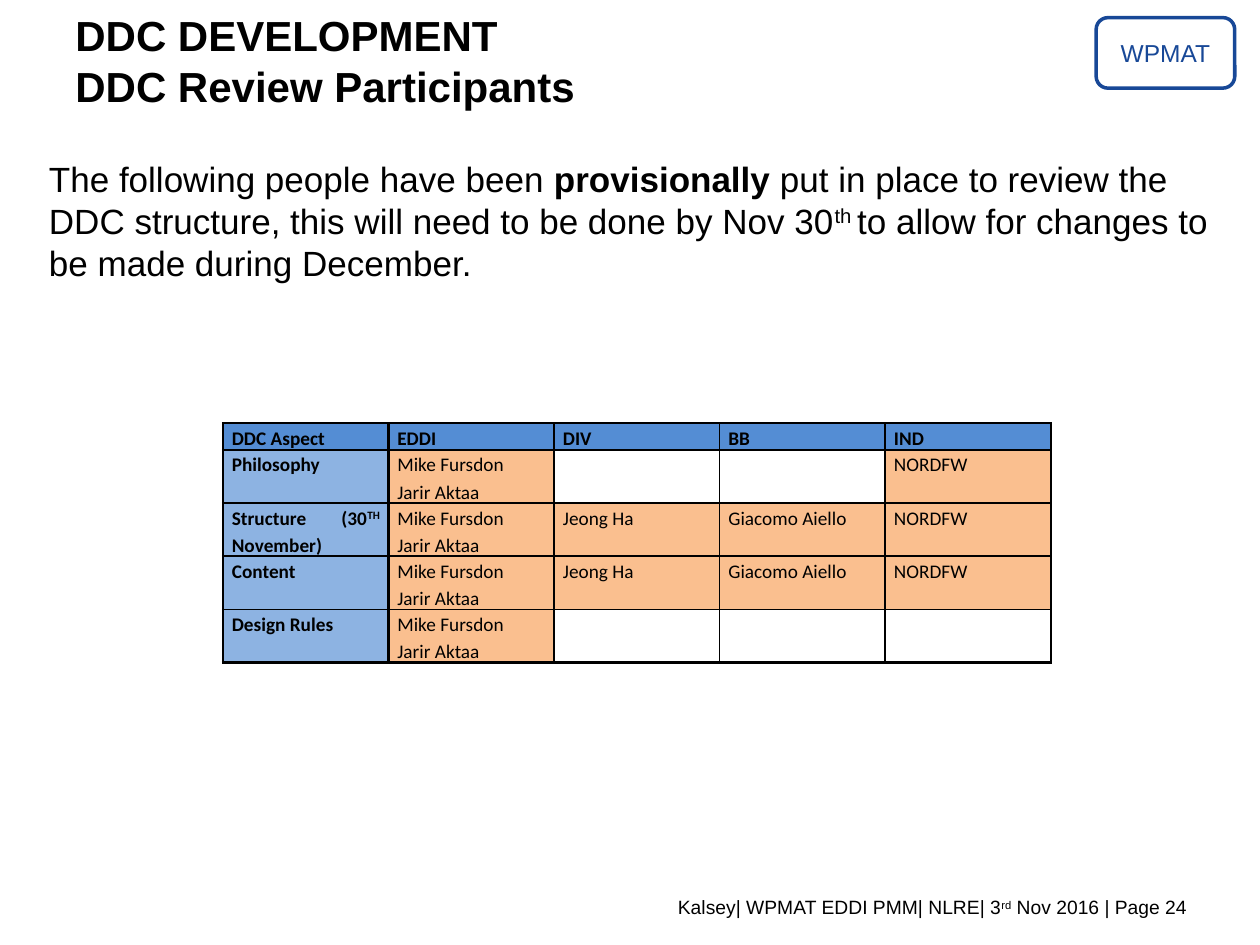
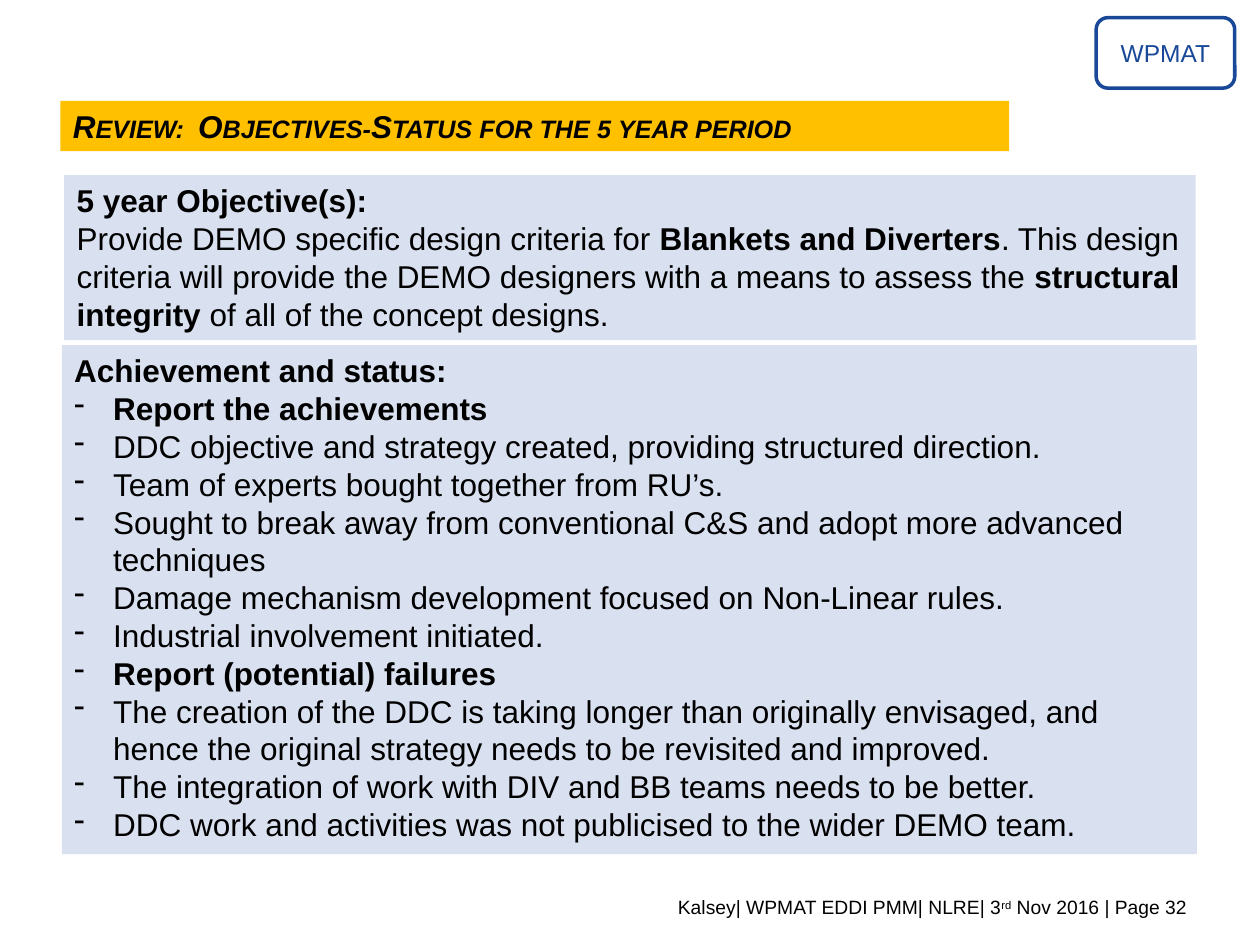
from pptx import Presentation
from pptx.dml.color import RGBColor as RGB
from pptx.enum.shapes import MSO_SHAPE as Kind
from pptx.enum.text import MSO_ANCHOR as Anchor, PP_ALIGN as Align
from pptx.oxml.ns import qn
from pptx.util import Inches, Pt
from lxml.etree import SubElement as Sub

INK, NAVY, GOLD, PALE = "000000", "184897", "FFC000", "D9E0EF"
HEAD, SIDE, NAMED = "548DD4", "8DB3E2", "FABF8F"

deck = Presentation()
deck.slide_width, deck.slide_height = Inches(10), Inches(7.5)
UNIT = deck.slide_width // 100  # grid of 100 columns by 75 rows


def write(para, text, size, color=INK, bold=False, font="Arial"):
    """Add runs to para; * switches bold and ^ switches superscript."""
    for i, part in enumerate(text.split("*")):
        for j, piece in enumerate(part.split("^")):
            if not piece:
                continue
            run = para.add_run()
            run.text = piece
            run.font.name, run.font.size = font, Pt(size)
            run.font.bold = bold != (i % 2 == 1)
            run.font.color.rgb = RGB.from_string(color)
            if j % 2:
                run.font._element.set("baseline", "30000")


def block(slide, cols, kind=None, fill=None, line=None):
    """Place a text box, or a shape of some kind, and return its text frame."""
    spot = [round(n * UNIT) for n in cols]
    if kind is None:
        shape = slide.shapes.add_textbox(*spot)
    else:
        shape = slide.shapes.add_shape(kind, *spot)
        shape.shadow.inherit = False
        if fill:
            shape.fill.solid()
            shape.fill.fore_color.rgb = RGB.from_string(fill)
        else:
            shape.fill.background()
        if line:
            shape.line.color.rgb = RGB.from_string(line)
            shape.line.width = Pt(2)
        else:
            shape.line.fill.background()
    frame = shape.text_frame
    frame.word_wrap = True
    frame.vertical_anchor = Anchor.TOP
    frame.paragraphs[0].alignment = Align.LEFT
    return frame


# Shared badge and footer
slides = []
for page in (24, 32):
    slide = deck.slides.add_slide(deck.slide_layouts[6])
    badge = block(slide, (87, 1.4, 11, 5.6), Kind.ROUNDED_RECTANGLE, line=NAVY)
    badge.vertical_anchor = Anchor.MIDDLE
    badge.paragraphs[0].alignment = Align.CENTER
    write(badge.paragraphs[0], "WPMAT", 14, NAVY)
    foot = block(slide, (5.1, 70.6, 90.1, 2.9)).paragraphs[0]
    foot.alignment = Align.RIGHT
    write(foot, f"Kalsey| WPMAT EDDI PMM| NLRE| 3^rd^ Nov 2016 | Page {page}", 11)
    slides.append(slide)
people, review = slides

# Review participants
title = block(people, (5, 0.3, 42.7, 9.1))
title.word_wrap = False
para = title.paragraphs[0]
write(para, "DDC DEVELOPMENT", 24, bold=True)
para.add_line_break()
write(para, "DDC Review Participants", 24, bold=True)

intro = block(people, (-2.1, 12, 101.2, 19.5)).paragraphs[0]
intro.space_before = Pt(4)
intro._p.get_or_add_pPr().set("marL", str(5 * UNIT))
write(intro, "The following people have been *provisionally* put in place to review "
      "the DDC structure, this will need to be done by Nov 30^th ^to allow for "
      "changes to be made during December.", 20)

pair = "Mike Fursdon\nJarir Aktaa"
rows = [
    ("DDC Aspect", "EDDI", "DIV", "BB", "IND"),
    ("Philosophy", pair, "", "", "NORDFW"),
    ("Structure (30^TH^ November)", pair, "Jeong Ha", "Giacomo Aiello", "NORDFW"),
    ("Content", pair, "Jeong Ha", "Giacomo Aiello", "NORDFW"),
    ("Design Rules", pair, "", "", ""),
]
size = len(rows)
spot = [round(n * UNIT) for n in (17.7, 33.6, 65.7, 19)]
table = people.shapes.add_table(size, size, *spot).table
for r, row in enumerate(rows):
    table.rows[r].height = round((4.22 if r else 2.1) * UNIT)
    for c, text in enumerate(row):
        cell = table.cell(r, c)
        cell.margin_left = cell.margin_right = round(0.7 * UNIT)
        cell.margin_top = cell.margin_bottom = 0
        cell.text = text
        for para in cell.text_frame.paragraphs:
            line = para.text
            para.text = ""
            para.alignment, para.line_spacing = Align.JUSTIFY, 1.15
            para.font.size = Pt(11)
            write(para, line, 11, bold=r == 0 or c == 0, font="Calibri")
        props = cell._tc.get_or_add_tcPr()
        thick = {"L": c < 2, "R": c in (0, size - 1),
                 "T": r == 0 or (r == 1 and c > 0),
                 "B": r == size - 1 or (r == 0 and c > 0)}
        for side, heavy in thick.items():
            edge = Sub(props, qn(f"a:ln{side}"), w=str(Pt(1.5 if heavy else 1)))
            Sub(Sub(edge, qn("a:solidFill")), qn("a:srgbClr"), val=INK)
        if text:
            cell.fill.solid()
            shade = HEAD if r == 0 else NAMED if c else SIDE
            cell.fill.fore_color.rgb = RGB.from_string(shade)
        else:
            cell.fill.background()

# Objectives and status
goal = block(review, (5.1, 13.9, 89.8, 13.1), Kind.RECTANGLE, PALE)
write(goal.paragraphs[0], "5 year Objective(s):", 18, bold=True)
write(goal.add_paragraph(), "Provide DEMO specific design criteria for *Blankets and "
      "Diverters*. This design criteria will provide the DEMO designers with a means "
      "to assess the *structural integrity* of all of the concept designs.", 18)

band = block(review, (4.8, 8, 75.3, 4), Kind.RECTANGLE, GOLD).paragraphs[0]
write(band, "Review:  Objectives-Status for the 5 year period", 18, bold=True)
for run in band.runs:
    run.font.italic = True
    run.font._element.set("cap", "small")

status = block(review, (4.9, 27.4, 90.1, 40.4), Kind.RECTANGLE, PALE)
write(status.paragraphs[0], "Achievement and status:", 18, bold=True)
points = [
    "*Report the achievements*",
    "DDC objective and strategy created, providing structured direction.",
    "Team of experts bought together from RU’s.",
    "Sought to break away from conventional C&S and adopt more advanced techniques",
    "Damage mechanism development focused on Non-Linear rules.",
    "Industrial involvement initiated.",
    "*Report (potential) failures*",
    "The creation of the DDC is taking longer than originally envisaged, and hence "
    "the original strategy needs to be revisited and improved.",
    "The integration of work with DIV and BB teams needs to be better.",
    "DDC work and activities was not publicised to the wider DEMO team.",
]
hang = round(3.1 * UNIT)
for point in points:
    para = status.add_paragraph()
    para.alignment = Align.LEFT
    props = para._p.get_or_add_pPr()
    props.set("marL", str(hang))
    props.set("indent", str(-hang))
    Sub(props, qn("a:buChar"), char="-")
    write(para, point, 18)
for para in goal.paragraphs:
    para.alignment = Align.LEFT

deck.save("out.pptx")
